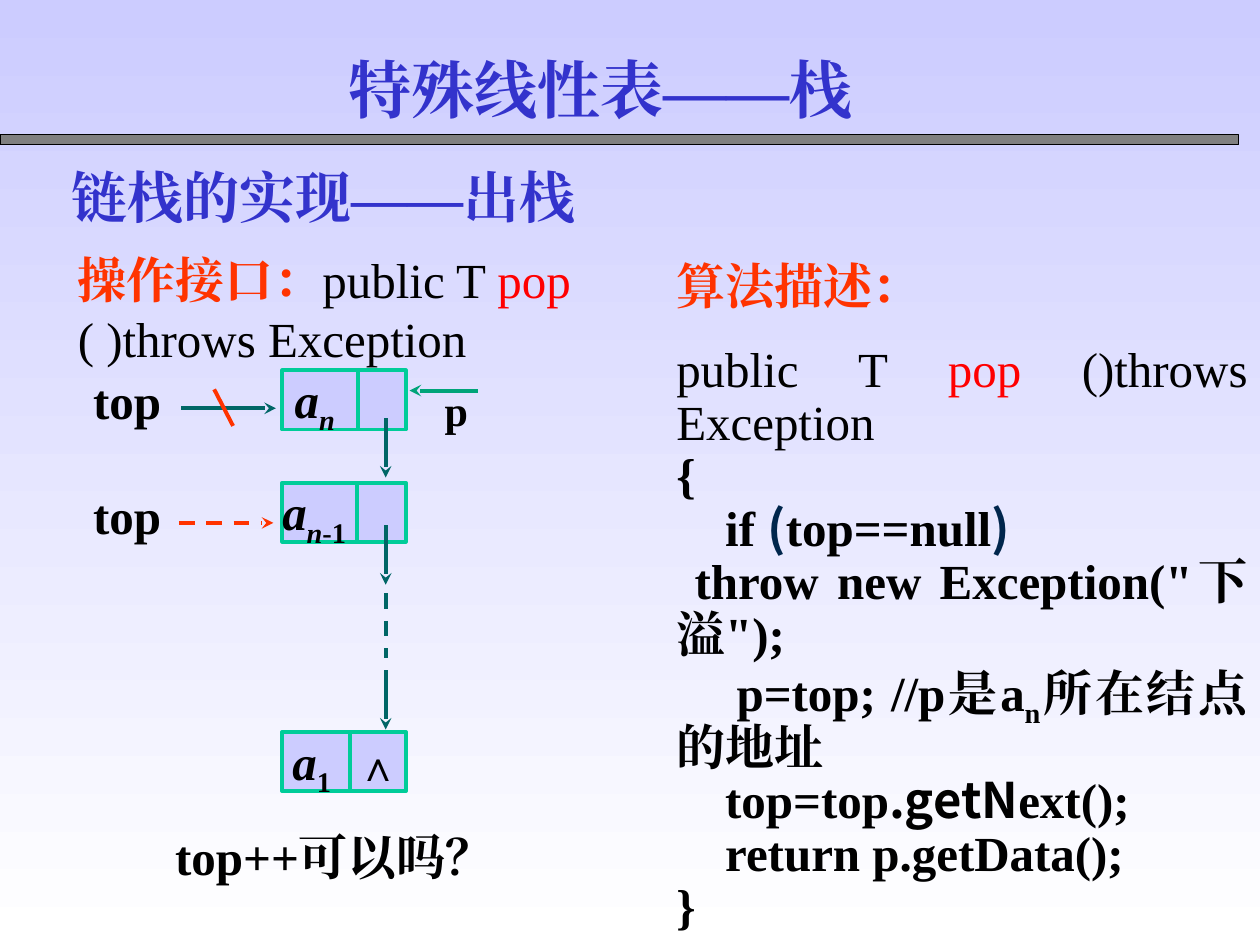
from dataclasses import dataclass

from lxml import etree
from pptx import Presentation
from pptx.dml.color import RGBColor
from pptx.enum.dml import MSO_LINE
from pptx.enum.shapes import MSO_CONNECTOR, MSO_SHAPE
from pptx.enum.text import MSO_ANCHOR, PP_ALIGN
from pptx.oxml.ns import qn
from pptx.util import Pt

RECTANGLE = MSO_SHAPE.RECTANGLE
STRAIGHT = MSO_CONNECTOR.STRAIGHT
DASH = MSO_LINE.DASH
TOP = MSO_ANCHOR.TOP
LEFT, CENTER, JUSTIFY = PP_ALIGN.LEFT, PP_ALIGN.CENTER, PP_ALIGN.JUSTIFY


@dataclass(frozen=True)
class Theme:
    serif: str = "Times New Roman"
    sans: str = "Noto Sans CJK SC"
    heading: str = "3333CC"
    label: str = "FF3300"
    text: str = "000000"
    keyword: str = "FF0000"
    bracket: str = "00264C"
    cell: str = "CCCCFF"
    cell_line: str = "00CC99"
    link: str = "006666"
    pointer: str = "00A479"
    bar: str = "808080"
    page_end: str = "FFFFFF"
    title_size: int = 36
    subtitle_size: int = 32
    body_size: int = 28
    small_size: int = 24
    stroke: float = 2.25


THEME = Theme()
INSETS = (7.2, 3.6, 7.2, 3.6)


def rgb(color):
    return RGBColor.from_string(color)


def paint_background(slide):
    fill = slide.background.fill
    fill.gradient()
    fill.gradient_angle = 270
    for stop, color in zip(fill.gradient_stops, (THEME.cell, THEME.page_end)):
        stop.color.rgb = rgb(color)
    fill.gradient_stops[0].position = 0
    fill.gradient_stops[1].position = 1


def add_run(paragraph, text, size=THEME.body_size, color=THEME.text, bold=True,
            italic=False, face=THEME.serif, sub=False):
    run = paragraph.add_run()
    run.text = text
    font = run.font
    font.size, font.bold, font.italic, font.name = Pt(size), bold, italic, face
    font.color.rgb = rgb(color)
    properties = run._r.get_or_add_rPr()
    east_asian = etree.Element(qn("a:ea"), typeface=face)
    properties.find(qn("a:latin")).addnext(east_asian)
    if sub:
        properties.set("baseline", "-25000")
    return run


def fill_text(shape, paragraphs, insets=INSETS, align=LEFT, spacing=None):
    """Each paragraph is a list of (text, format) pairs."""
    frame = shape.text_frame
    frame.word_wrap = True
    frame.vertical_anchor = TOP
    (frame.margin_left, frame.margin_top,
     frame.margin_right, frame.margin_bottom) = map(Pt, insets)
    for index, parts in enumerate(paragraphs):
        paragraph = frame.add_paragraph() if index else frame.paragraphs[0]
        paragraph.alignment = align
        paragraph.line_spacing = spacing
        for text, style in parts:
            add_run(paragraph, text, **style)


def add_text(slide, box, paragraphs, **layout):
    shape = slide.shapes.add_textbox(*map(Pt, box))
    fill_text(shape, paragraphs, **layout)
    return shape


def add_box(slide, box, fill, line, width):
    shape = slide.shapes.add_shape(RECTANGLE, *map(Pt, box))
    shape.shadow.inherit = False
    shape.fill.solid()
    shape.fill.fore_color.rgb = rgb(fill)
    shape.line.color.rgb = rgb(line)
    shape.line.width = Pt(width)
    return shape


def add_line(slide, start, end, color, arrow=False, dashed=False):
    line = slide.shapes.add_connector(STRAIGHT, *map(Pt, start + end))
    line.line.color.rgb = rgb(color)
    line.line.width = Pt(THEME.stroke)
    if dashed:
        line.line.dash_style = DASH
    if arrow:
        etree.SubElement(line.line._get_or_add_ln(), qn("a:tailEnd"), type="stealth")
    etree.SubElement(line._element.spPr, qn("a:effectLst"))


def add_text_shadow(run):
    effects = etree.Element(qn("a:effectLst"))
    shadow = etree.SubElement(effects, qn("a:outerShdw"), dist="35921", dir="2700000")
    etree.SubElement(shadow, qn("a:srgbClr"), val=THEME.bar)
    run._r.rPr.find(qn("a:solidFill")).addnext(effects)


def add_node(slide, top, divider, inset, parts):
    """A stack node: data cell on the left, link cell on the right."""
    height = 33.8
    node = add_box(slide, (161.3, top, 70.6, height),
                   THEME.cell, THEME.cell_line, THEME.stroke)
    fill_text(node, [parts], insets=(inset, 0, 0, 5.8), spacing=0.9)
    add_line(slide, (divider, top), (divider, top + height), THEME.cell_line)


def add_headings(slide):
    add_box(slide, (0, 77, 707.8, 5.8), THEME.bar, THEME.text, 0.75)
    title = add_text(slide, (191.9, 25.2, 337.3, 50.4), [
        [("特殊线性表——栈", dict(size=THEME.title_size, color=THEME.heading))]])
    add_text_shadow(title.text_frame.paragraphs[0].runs[0])
    add_text(slide, (33.8, 89.3, 329.8, 46.1), [
        [("链栈的实现——出栈", dict(size=THEME.subtitle_size, color=THEME.heading))]])


def add_interface(slide):
    plain = dict(bold=False)
    add_text(slide, (37.4, 139, 337, 74.9), [[
        ("操作接口：", dict(color=THEME.label)), ("public T ", plain),
        ("pop", dict(color=THEME.keyword, bold=False)),
        (" ( )throws Exception", plain)]])


def add_algorithm(slide):
    plain = dict(bold=False)
    bracket = dict(face=THEME.sans, color=THEME.bracket)
    algorithm = add_text(slide, (379.4, 146.2, 340.6, 391.7), [
        [("算法描述：", dict(color=THEME.label))],
        [("public T ", plain), ("pop", dict(color=THEME.keyword, bold=False)),
         (" ()throws Exception", plain)],
        [("{", {})],
        [("    if ", {}), ("(", bracket), ("top==null", {}), (")", bracket)],
        [(" throw new Exception(\"下溢\");", {})],
        [("    p=top; //p是a", {}), ("n", dict(sub=True)), ("所在结点的地址", {})],
        [("    top=top", {}), (".getN", dict(face=THEME.sans)), ("ext();", {})],
        [("    return p.getData();", {})],
        [("}", {})],
    ], align=JUSTIFY, spacing=0.9)
    algorithm.text_frame.paragraphs[1].space_before = Pt(17.5)


def add_stack(slide):
    data, index = dict(italic=True), dict(italic=True, sub=True)
    number = dict(sub=True)
    small = dict(size=THEME.small_size)

    # Nodes from the top of the stack to the bottom
    add_node(slide, 211.7, 204.5, 7.2, [("a", data), ("n", index)])
    add_node(slide, 275.8, 203.8, 0, [("a", data), ("n", index), ("-1", number)])
    add_node(slide, 418.3, 200.2, 5.8, [("a", data), ("1", number)])
    add_text(slide, (197.3, 419, 35.3, 36), [[("∧", small)]], align=CENTER)

    # Links between nodes
    link_x = 220.4
    for start in (239, 300.2, 383):
        add_line(slide, (link_x, start), (link_x, start + 33.9), THEME.link, arrow=True)
    add_line(slide, (link_x, 339.1), (link_x, 375.8), THEME.link, dashed=True)

    # Old top pointer, crossed out, and the new one
    for top in (211.7, 277.2):
        add_text(slide, (53.3, top, 59.8, 36.7), [[("top", {})]], insets=(0, 0, 0, 2.9))
    add_line(slide, (103.7, 233.3), (157.7, 233.3), THEME.link, arrow=True)
    add_line(slide, (122.4, 222.5), (133.2, 243.4), THEME.label)
    add_line(slide, (102.2, 298.8), (156.2, 298.8), THEME.label, arrow=True, dashed=True)

    # Pointer p to the removed node
    add_line(slide, (272.9, 223.2), (234, 223.2), THEME.pointer, arrow=True)
    add_text(slide, (247, 216, 28.1, 36), [[("p", small)]])

    # Question
    add_text(slide, (100.1, 468.7, 315.4, 41), [[("top++可以吗？", {})]],
             insets=(0, 3.6, 0, 3.6))


def main():
    deck = Presentation()
    deck.slide_width, deck.slide_height = Pt(720), Pt(540)
    slide = deck.slides.add_slide(deck.slide_layouts[6])
    paint_background(slide)
    add_headings(slide)
    add_interface(slide)
    add_algorithm(slide)
    add_stack(slide)
    deck.save("out.pptx")


if __name__ == "__main__":
    main()
